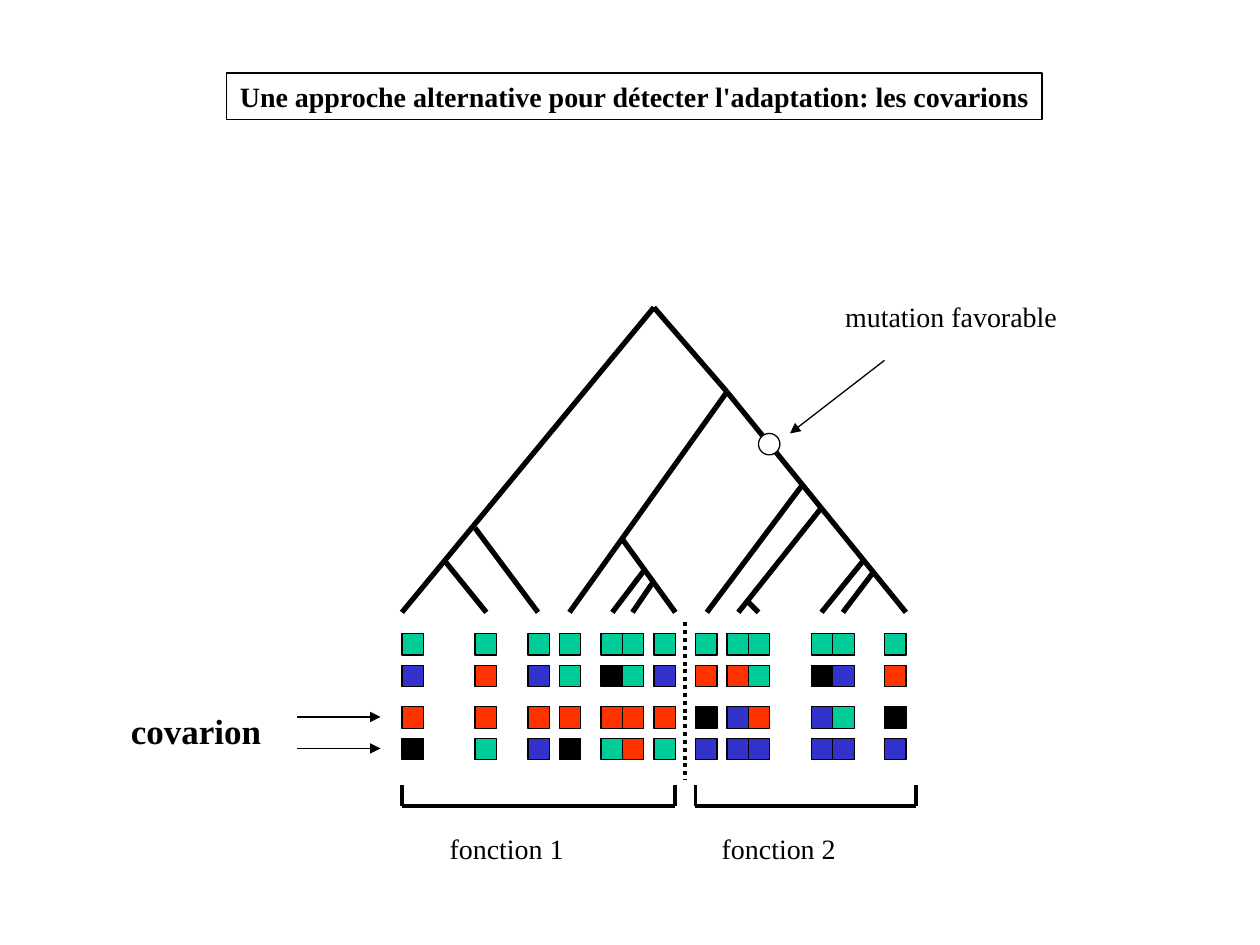
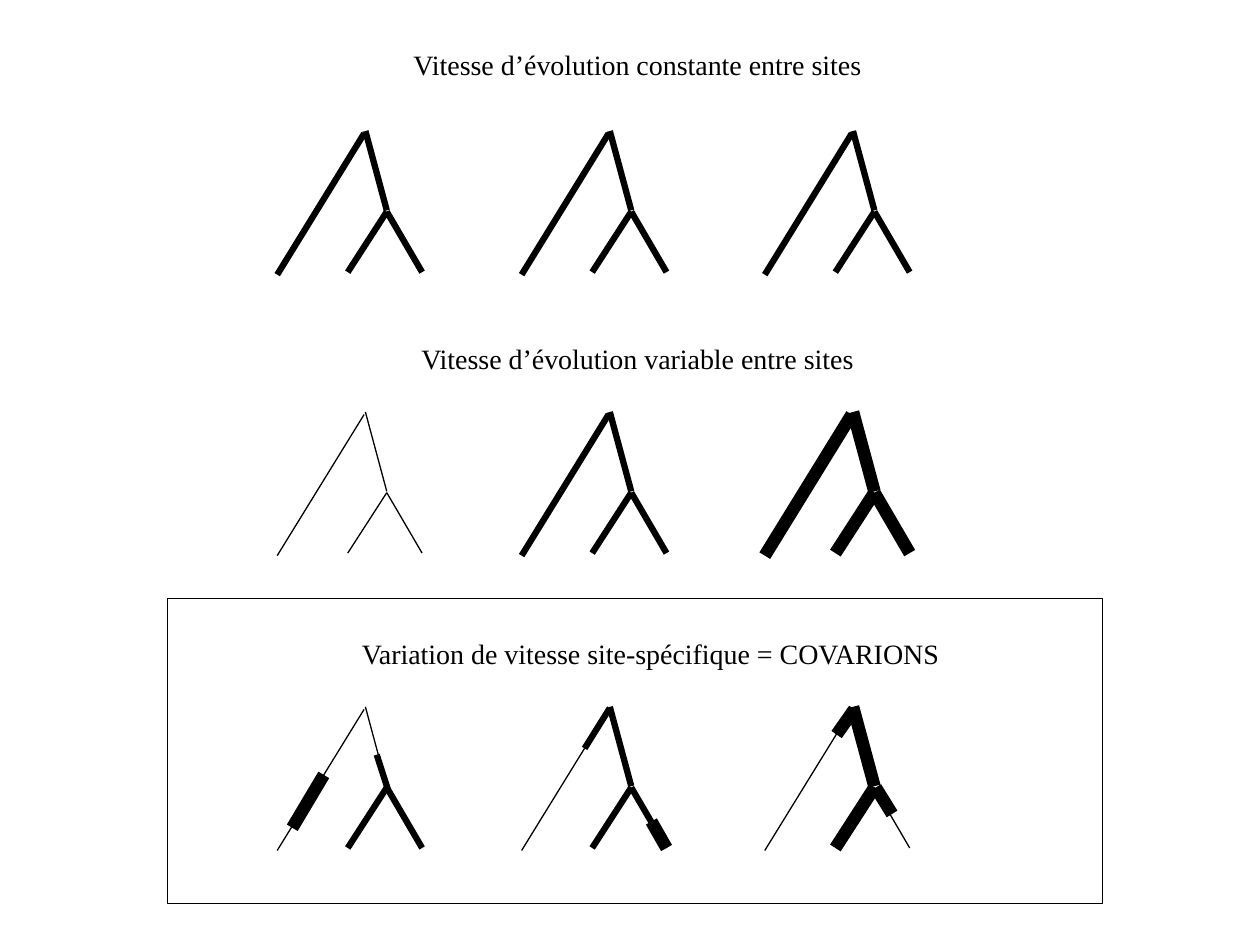
from lxml.etree import SubElement
from pptx import Presentation
from pptx.dml.color import RGBColor
from pptx.enum.dml import MSO_LINE
from pptx.enum.shapes import MSO_CONNECTOR, MSO_SHAPE
from pptx.enum.text import MSO_ANCHOR, MSO_AUTO_SIZE, PP_ALIGN
from pptx.oxml.ns import qn
from pptx.util import Inches, Pt

BLACK, WHITE = "000000", "FFFFFF"
SITE_COLORS = {"G": "00CC99", "B": "3333CC", "R": "FF3300", "K": BLACK}
FONT = "Times New Roman"
THIN, MEDIUM, HEAVY = 0.75, 3.6, 7.2
color = RGBColor.from_string


def draw_line(page, start, end, weight, dash=None, arrow=False):
    line = page.shapes.add_connector(
        MSO_CONNECTOR.STRAIGHT, *[Inches(value) for value in (*start, *end)])
    line.line.color.rgb = color(BLACK)
    line.line.width = Pt(weight)
    if dash:
        line.line.dash_style = dash
    properties = line._element.spPr
    if arrow:
        SubElement(properties.find(qn("a:ln")), qn("a:tailEnd"), type="triangle")
    SubElement(properties, qn("a:effectLst"))


def write_text(box, place, text, size=16, bold=False, align=PP_ALIGN.CENTER,
               inset=(0, 0), spacing=1.0, wrap=True):
    box.left, box.top, box.width, box.height = [Inches(value) for value in place]
    frame = box.text_frame
    frame.auto_size = MSO_AUTO_SIZE.NONE
    frame.word_wrap = wrap
    frame.vertical_anchor = MSO_ANCHOR.TOP
    frame.margin_left = frame.margin_right = Inches(inset[0])
    frame.margin_top = frame.margin_bottom = Inches(inset[1])
    para = frame.paragraphs[0]
    para.text = text
    para.alignment = align
    para.line_spacing = spacing
    para.font.name = FONT
    para.font.size = Pt(size)
    para.font.bold = bold
    para.font.color.rgb = color(BLACK)


deck = Presentation()
deck.slide_width, deck.slide_height = Inches(10), Inches(7.5)
title_only = deck.slide_layouts[5]

# Slide 1: covarions on a tree
page = deck.slides.add_slide(title_only)
title = page.shapes.title
write_text(title, (1.8, 0.58, 6.47, 0.37),
           "Une approche alternative pour détecter l'adaptation: les covarions",
           bold=True, inset=(0.1, 0.05), wrap=False)
title.line.color.rgb = color(BLACK)
title.line.width = Pt(THIN)

# Sites: one row per position, one column per leaf
site_size = 0.17
leaf_lefts = [3.19, 3.77, 4.19, 4.44, 4.77, 4.94, 5.19,
              5.52, 5.77, 5.94, 6.44, 6.61, 7.02]
site_rows = {
    5.03: "GGGGGGGGGGGGG",
    5.28: "BRBGKGBRRGKBR",
    5.61: "RRRRRRRKBRBGK",
    5.86: "KGBKGRGBBBBBB",
}
marks = [(MSO_SHAPE.RECTANGLE, left, top, SITE_COLORS[state])
         for top, states in site_rows.items()
         for left, state in zip(leaf_lefts, states)]

# Tree branches
leaf_y = 4.86
branches = [
    ((5.19, 2.44), (3.19, leaf_y)), ((5.19, 2.44), (5.77, 3.11)),
    ((3.77, 4.19), (4.27, leaf_y)), ((3.52, 4.44), (3.86, leaf_y)),
    ((5.77, 3.11), (4.52, leaf_y)), ((5.77, 3.11), (7.19, leaf_y)),
    ((6.52, 4.03), (5.86, leaf_y)), ((5.94, 4.78), (6.02, leaf_y)),
    ((6.86, 4.44), (6.52, leaf_y)), ((6.94, 4.53), (6.69, leaf_y)),
    ((6.36, 3.86), (5.61, leaf_y)), ((4.94, 4.28), (5.36, leaf_y)),
    ((5.19, 4.61), (5.02, leaf_y)), ((5.11, 4.53), (4.86, leaf_y)),
]
for start, end in branches:
    draw_line(page, start, end, 3)
draw_line(page, (5.44, 4.94), (5.44, 6.19), 2.25, dash=MSO_LINE.ROUND_DOT)

# Site squares and the favourable mutation
marks.append((MSO_SHAPE.OVAL, 6.02, 3.44, WHITE))
for kind, left, top, fill in marks:
    mark = page.shapes.add_shape(
        kind, Inches(left), Inches(top), Inches(site_size), Inches(site_size))
    mark.shadow.inherit = False
    mark.fill.solid()
    mark.fill.fore_color.rgb = color(fill)
    mark.line.color.rgb = color(BLACK)
    mark.line.width = Pt(THIN)

# Brackets under the two functions
for left, right in [(3.19, 5.36), (5.52, 7.27)]:
    draw_line(page, (left, 6.4), (right, 6.4), 2.25)
    for side in (left, right):
        draw_line(page, (side, 6.4), (side, 6.23), 2.25)

# Arrows and labels
for start, end in [((7.02, 2.86), (6.27, 3.44)),
                   ((2.36, 5.69), (3.02, 5.69)),
                   ((2.36, 5.94), (3.02, 5.94))]:
    draw_line(page, start, end, THIN, arrow=True)
for place, text, size, bold in [
        ((6.61, 2.33, 1.88, 0.37), "mutation favorable", 16, False),
        ((3.47, 6.55, 1.1, 0.37), "fonction 1", 16, False),
        ((5.63, 6.55, 1.1, 0.37), "fonction 2", 16, False),
        ((0.94, 5.58, 1.23, 0.44), "covarion", 20, True)]:
    label = page.shapes.add_textbox(0, 0, 0, 0)
    write_text(label, place, text, size, bold, PP_ALIGN.LEFT, (0.1, 0.05), wrap=False)

# Slide 2: three models of evolutionary rate
page = deck.slides.add_slide(title_only)
write_text(page.shapes.title, (2.67, 0.42, 4.78, 0.33),
           "Vitesse d’évolution constante entre sites", spacing=0.85)
for place, text in [
        ((2.67, 2.75, 4.78, 0.33), "Vitesse d’évolution variable entre sites"),
        ((1.83, 5.09, 6.67, 0.42), "Variation de vitesse site-spécifique = COVARIONS")]:
    write_text(page.shapes.add_textbox(0, 0, 0, 0), place, text, spacing=0.85)

# Trees: four branches each, with one weight per branch
tree_branches = [((0, 1.14), (0.69, 0.02)), ((0.7, 0), (0.87, 0.63)),
                 ((0.87, 0.64), (0.56, 1.12)), ((0.87, 0.64), (1.15, 1.12))]
tree_lefts = [2.2, 4.14, 6.07]
tree_rows = {
    1.04: [[MEDIUM] * 4] * 3,
    3.27: [[THIN] * 4, [MEDIUM] * 4, [HEAVY] * 4],
    5.61: [[THIN, THIN, MEDIUM, MEDIUM],
           [THIN, MEDIUM, MEDIUM, MEDIUM],
           [THIN, HEAVY, HEAVY, THIN]],
}
for top, row_weights in tree_rows.items():
    for left, weights in zip(tree_lefts, row_weights):
        for (start, end), weight in zip(tree_branches, weights):
            draw_line(page, (left + start[0], top + start[1]),
                      (left + end[0], top + end[1]), weight)

# Rate changes along the branches of the covarion trees
for start, end, weight in [
        ((2.57, 6.15), (2.32, 6.57), HEAVY), ((2.99, 5.99), (3.08, 6.27), MEDIUM),
        ((4.84, 5.62), (4.64, 5.94), MEDIUM), ((5.17, 6.52), (5.29, 6.73), HEAVY),
        ((6.64, 5.83), (6.78, 5.63), HEAVY), ((6.95, 6.25), (7.08, 6.46), HEAVY)]:
    draw_line(page, start, end, weight)

# Frame around the covarion model
border = page.shapes.add_shape(
    MSO_SHAPE.RECTANGLE, Inches(1.33), Inches(4.75), Inches(7.42), Inches(2.42))
border.shadow.inherit = False
border.fill.background()
border.line.color.rgb = color(BLACK)
border.line.width = Pt(THIN)

deck.save("out.pptx")
